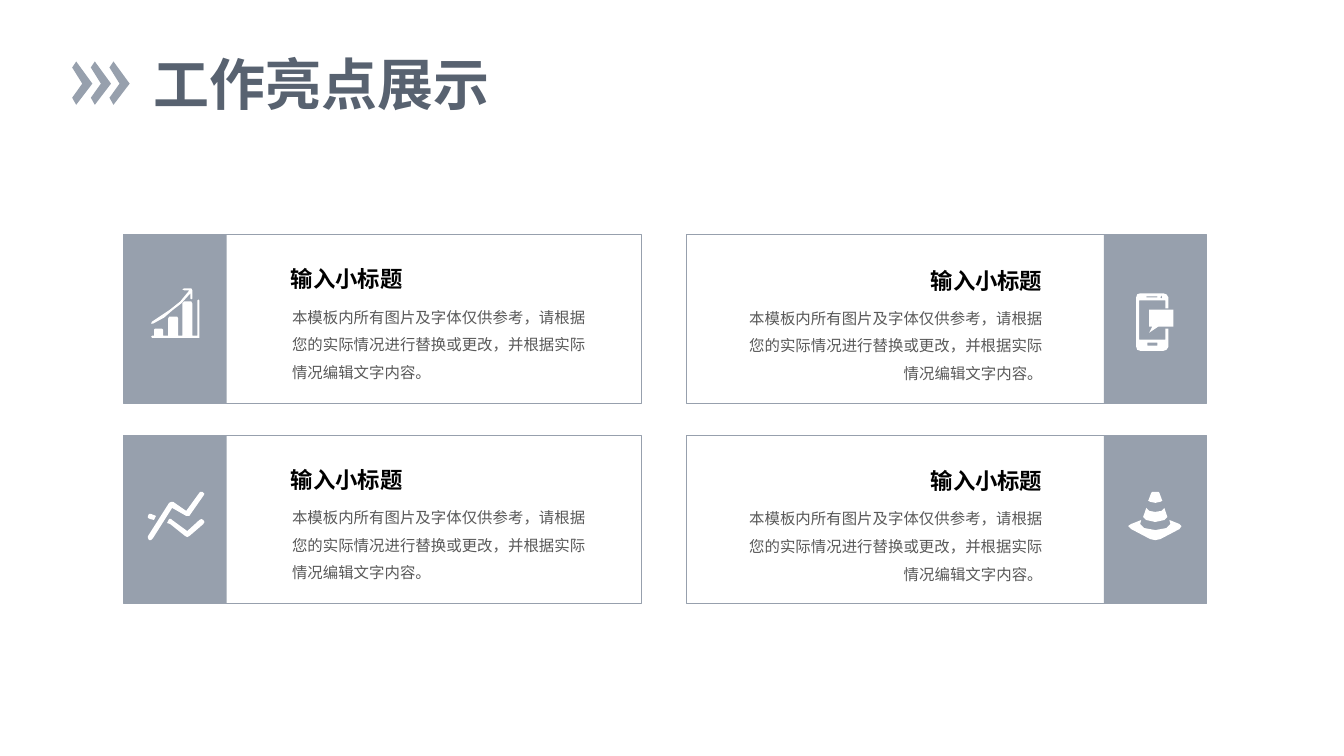
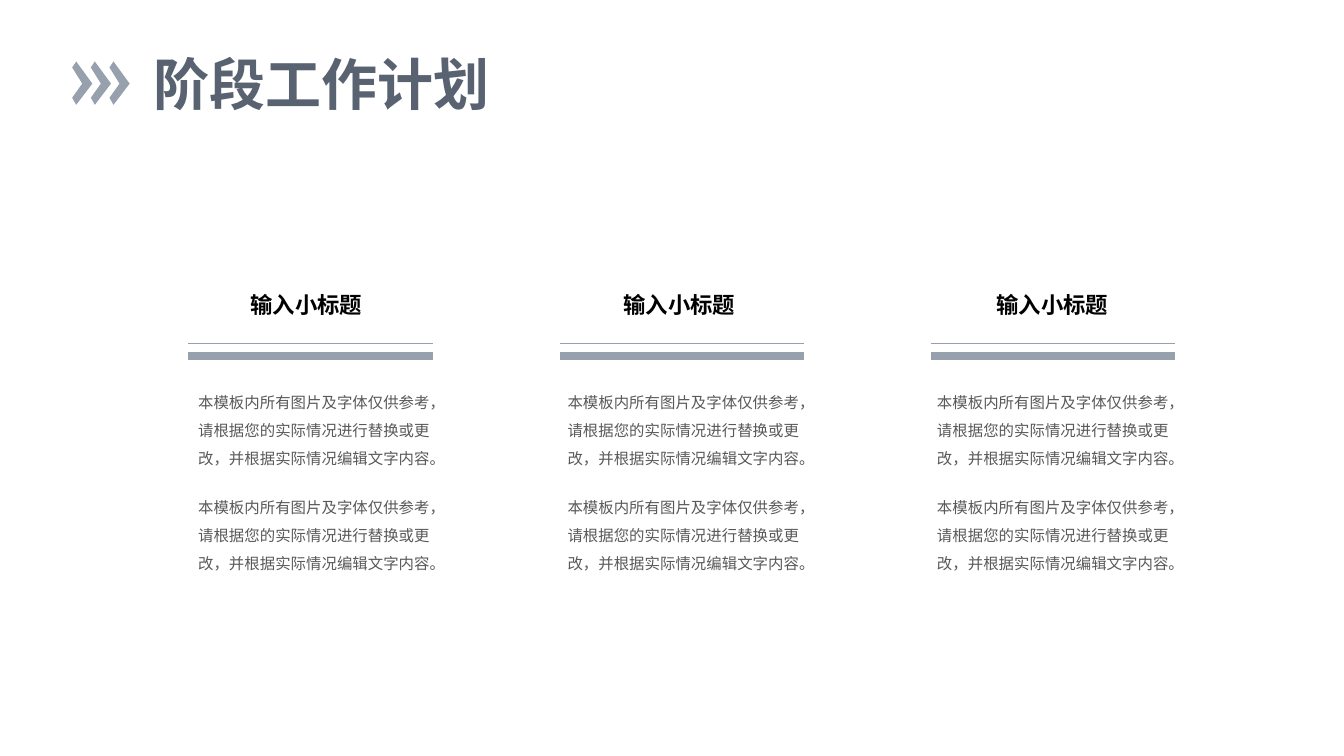
from lxml import etree
from pptx import Presentation
from pptx.dml.color import RGBColor
from pptx.enum.lang import MSO_LANGUAGE_ID
from pptx.enum.shapes import MSO_CONNECTOR, MSO_SHAPE
from pptx.enum.text import MSO_AUTO_SIZE, PP_ALIGN
from pptx.oxml.ns import qn
from pptx.util import Cm, Pt

LEFT, CENTER, RIGHT = PP_ALIGN.LEFT, PP_ALIGN.CENTER, PP_ALIGN.RIGHT
STRAIGHT = MSO_CONNECTOR.STRAIGHT
RECTANGLE = MSO_SHAPE.RECTANGLE
GROW = MSO_AUTO_SIZE.SHAPE_TO_FIT_TEXT
CHINESE = MSO_LANGUAGE_ID.SIMPLIFIED_CHINESE

FONT = "League Spartan"
COLORS = {
    "accent": "97A0AD",
    "title": "586270",
    "heading": "000000",
    "body": "595959",
    "white": "FFFFFF",
}
STYLES = {
    "title": {"size": 40, "bold": True, "spacing": None, "inset": (0.25, 0.13)},
    "heading": {"size": 16, "bold": True, "spacing": None, "inset": (0.25, 0.13)},
    "body": {"size": 11, "bold": False, "spacing": 1.5, "inset": (0.18, 0.08)},
}

HIGHLIGHTS_TITLE = "工作亮点展示"
PLAN_TITLE = "阶段工作计划"
HEADING = "输入小标题"
BODY = "本模板内所有图片及字体仅供参考，请根据您的实际情况进行替换或更改，并根据实际情况编辑文字内容。"

OUTLINE_UNIT = Cm(2.54) / 100
CHEVRON = [[(0, 6), (4.5, 0), (19.5, 21.5), (4.5, 43), (0, 36), (10.5, 21.5)]]
BAR_CHART = [
    [(75, 65), (75, 102), (28, 102), (27, 101), (28, 100), (30, 100), (30, 94),
     (31, 93), (38, 93), (39, 94), (39, 100), (44, 100), (44, 83), (45, 81),
     (53, 81), (54, 83), (54, 100), (58, 100), (58, 68), (60, 66), (67, 66),
     (68, 68), (68, 100), (73, 100), (73, 65), (74, 64)],
    [(29, 88), (40, 82), (48, 75), (57, 67.5), (66, 58), (66, 63), (67, 64),
     (68, 63), (68, 55), (67, 53), (60, 53), (58, 54), (60, 55), (65, 55),
     (56, 65.5), (46, 74), (37, 80.5), (28, 86), (27, 88)],
]
TREND = [
    [(48, 72), (62, 80), (63.5, 80.5), (65, 80), (79, 60), (80, 58), (78, 56),
     (76.5, 56), (75, 57), (62, 75), (49, 66), (47, 66), (45, 67), (24, 100),
     (24, 102), (25, 103.5), (27, 104), (29, 102)],
    [(75, 84), (63, 95), (48, 84), (47, 83), (45, 83), (43, 87), (46, 88),
     (61, 100), (63, 101), (65, 100), (79, 88), (80, 86), (79, 84), (77, 83)],
    [(26, 83), (30, 84), (32, 80), (27, 78), (25, 78.5), (24, 80), (24.5, 82)],
]
PHONE = [
    [(61, 104), (35, 104), (35, 65), (61, 65), (61, 73), (64, 73), (64, 62),
     (62.5, 59), (59, 58), (36, 58), (33, 59), (32, 62), (32, 111), (33, 114),
     (36, 115), (59, 115), (62.5, 114), (64, 111), (64, 93), (61, 93)],
    [(57, 60), (58, 61.5), (57, 63), (56, 61.5)],
    [(42, 61), (53, 61), (53, 62), (42, 62)],
    [(43, 107), (53, 107), (53, 110), (43, 110)],
]
SPEECH_BUBBLE = [
    [(45, 91), (48, 91), (45, 97), (54, 91), (69, 91), (69, 74), (45, 74)],
]
CONE = [
    [(75, 88), (65, 84), (66, 88), (62, 92), (51, 94), (40, 92), (36, 88),
     (37, 84), (27, 88), (24.5, 90.5), (27, 93), (46, 103), (51, 104.5),
     (56, 103), (75, 93), (77, 90.5)],
    [(51, 67), (56, 66.5), (58, 65), (55, 57), (54, 56), (48, 56), (47, 57),
     (44, 65), (46, 66.5)],
    [(51, 86), (60, 84.5), (63, 81), (60, 72), (57, 75), (51, 76), (45, 75),
     (42, 72), (39, 81), (42, 84.5)],
]

CARD_TOP, CARD_PITCH, CARD_HEIGHT, BAND_WIDTH = 5.92, 5.05, 4.24, 2.59
CARD_COLUMNS = [
    {"left": 3.12, "width": 13.06, "band": 0, "align": LEFT,
     "heading": (3.96, 0.64), "body": (4.06, 1.52),
     "icons": [[BAR_CHART], [TREND]]},
    {"left": 17.3, "width": 13.11, "band": 10.52, "align": RIGHT,
     "heading": (1.12, 0.67), "body": (1.24, 1.55),
     "icons": [[PHONE, SPEECH_BUBBLE], [CONE]]},
]

STAGES = [
    {"heading": HEADING, "bodies": [BODY, BODY]},
    {"heading": HEADING, "bodies": [BODY, BODY]},
    {"heading": HEADING, "bodies": [BODY, BODY]},
]
RULES = [(8.66, 0.5), (8.97, 6)]
RULE_LEFT, RULE_PITCH, RULE_WIDTH = 4.75, 9.35, 6.17
STAGE_HEADING_LEFT, STAGE_HEADING_PITCH = 4.95, 9.4
STAGE_BODY_LEFT, STAGE_BODY_PITCH = 4.7, 9.31
STAGE_BODY_TOP, STAGE_BODY_STEP = 9.6, 2.64


def color(name):
    return RGBColor.from_string(COLORS[name])


def add_text(slide, text, style_name, left, top, width, height, align=LEFT, wrap=True):
    style = STYLES[style_name]
    shape = slide.shapes.add_textbox(Cm(left), Cm(top), Cm(width), Cm(height))
    frame = shape.text_frame
    frame.word_wrap = wrap
    frame.auto_size = GROW
    horizontal, vertical = style["inset"]
    frame.margin_left = frame.margin_right = Cm(horizontal)
    frame.margin_top = frame.margin_bottom = Cm(vertical)
    paragraph = frame.paragraphs[0]
    paragraph.alignment = align
    paragraph.line_spacing = style["spacing"]
    run = paragraph.add_run()
    run.text = text
    font = run.font
    font.size = Pt(style["size"])
    font.bold = style["bold"]
    font.color.rgb = color(style_name)
    font.name = FONT
    font.language_id = CHINESE
    properties = run._r.get_or_add_rPr()
    etree.SubElement(properties, qn("a:ea")).set("typeface", FONT)


def add_outline(slide, contours, left, top, fill):
    builder = slide.shapes.build_freeform(*contours[0][0], scale=OUTLINE_UNIT)
    for index, points in enumerate(contours):
        if index:
            builder.move_to(*points[0])
        builder.add_line_segments(points[1:], close=True)
    shape = builder.convert_to_shape(Cm(left), Cm(top))
    shape.shadow.inherit = False
    shape.fill.solid()
    shape.fill.fore_color.rgb = color(fill)
    shape.line.fill.background()


def add_rectangle(slide, left, top, width, filled):
    shape = slide.shapes.add_shape(RECTANGLE, Cm(left), Cm(top), Cm(width), Cm(CARD_HEIGHT))
    shape.shadow.inherit = False
    if filled:
        shape.fill.solid()
        shape.fill.fore_color.rgb = color("accent")
        shape.line.fill.background()
    else:
        shape.fill.background()
        shape.line.color.rgb = color("accent")
        shape.line.width = Pt(0.75)


def add_rule(slide, left, top, weight):
    rule = slide.shapes.add_connector(
        STRAIGHT, Cm(left), Cm(top), Cm(left + RULE_WIDTH), Cm(top))
    rule.line.color.rgb = color("accent")
    rule.line.width = Pt(weight)
    etree.SubElement(rule._element.spPr, qn("a:effectLst"))


def add_titled_slide(presentation, title):
    slide = presentation.slides.add_slide(presentation.slide_layouts[6])
    for index in range(3):
        add_outline(slide, CHEVRON, 1.82 + index * 0.47, 1.55, "accent")
    add_text(slide, title, "title", 3.63, 1.12, 9.09, 1.96, wrap=False)
    return slide


def build_highlights(presentation):
    slide = add_titled_slide(presentation, HIGHLIGHTS_TITLE)
    for column in CARD_COLUMNS:
        left, align = column["left"], column["align"]
        band_left = left + column["band"]
        for row, outlines in enumerate(column["icons"]):
            top = CARD_TOP + row * CARD_PITCH
            add_rectangle(slide, left, top, column["width"], filled=False)
            add_rectangle(slide, band_left, top, BAND_WIDTH, filled=True)
            for outline in outlines:
                add_outline(slide, outline, band_left, top, "white")
            x, y = column["heading"]
            add_text(slide, HEADING, "heading", left + x, top + y, 8.1, 0.94, align)
            x, y = column["body"]
            add_text(slide, BODY, "body", left + x, top + y, 7.92, 2.21, align)


def build_plan(presentation):
    slide = add_titled_slide(presentation, PLAN_TITLE)
    for index, stage in enumerate(STAGES):
        for top, weight in RULES:
            add_rule(slide, RULE_LEFT + index * RULE_PITCH, top, weight)
        heading_left = STAGE_HEADING_LEFT + index * STAGE_HEADING_PITCH
        add_text(slide, stage["heading"], "heading", heading_left, 7.21, 5.54, 0.94, CENTER)
        body_left = STAGE_BODY_LEFT + index * STAGE_BODY_PITCH
        for row, body in enumerate(stage["bodies"]):
            top = STAGE_BODY_TOP + row * STAGE_BODY_STEP
            add_text(slide, body, "body", body_left, top, 6.43, 2.21, CENTER)


def main():
    presentation = Presentation()
    presentation.slide_width = Cm(33.87)
    presentation.slide_height = Cm(19.05)
    build_highlights(presentation)
    build_plan(presentation)
    presentation.save("out.pptx")


if __name__ == "__main__":
    main()
